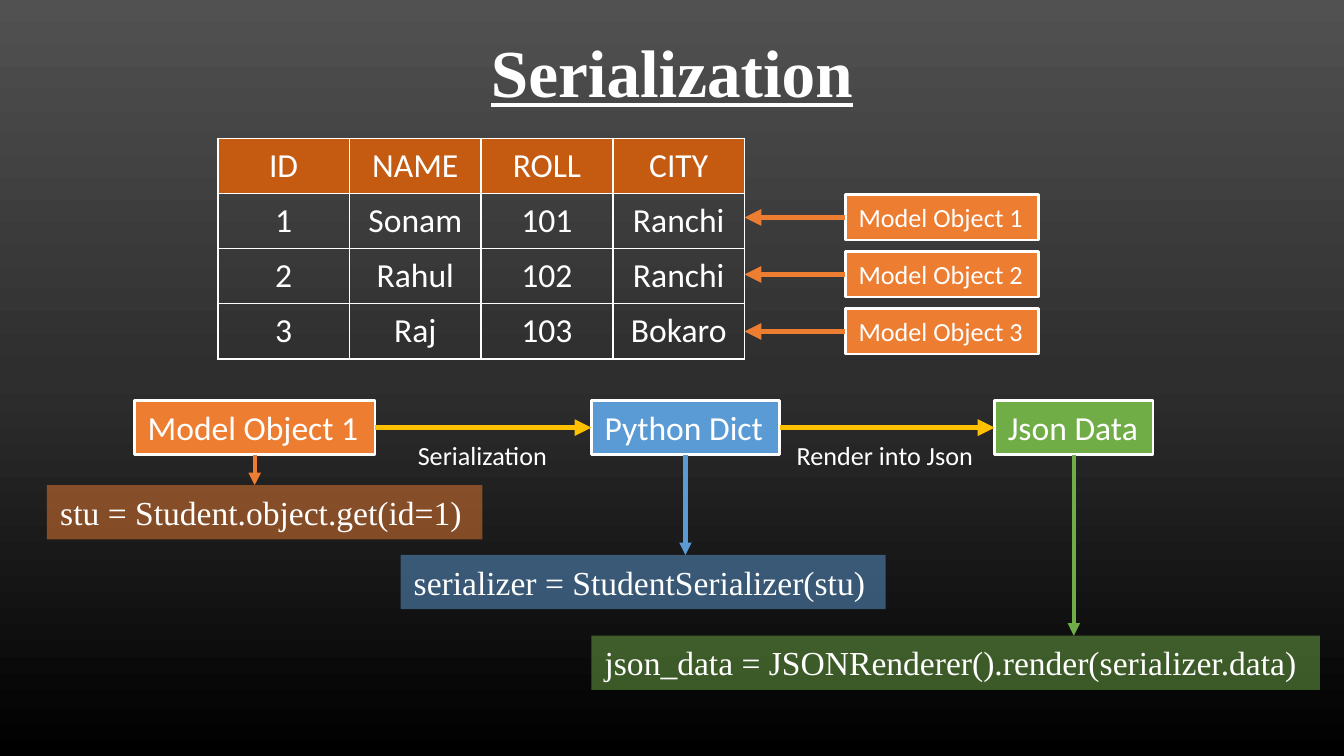
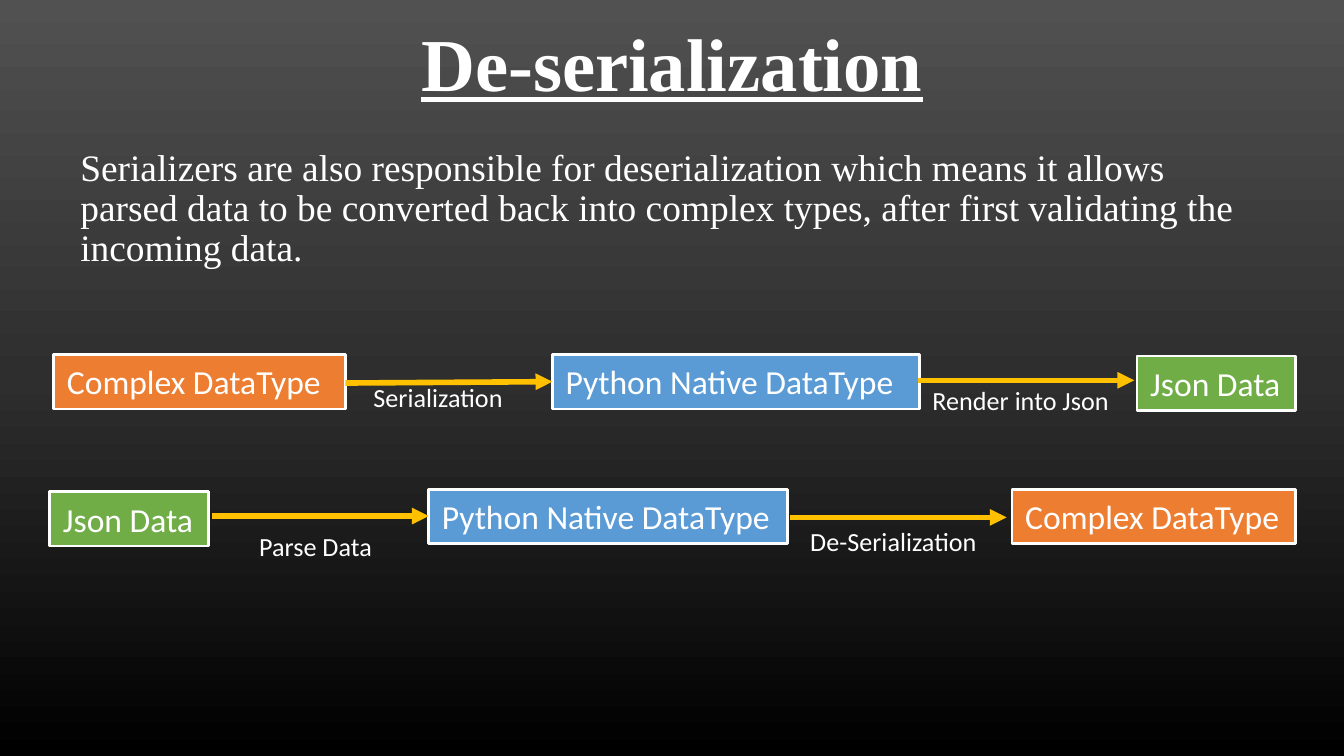
from dataclasses import dataclass
from lxml.etree import SubElement
from pptx import Presentation
from pptx.dml.color import RGBColor
from pptx.enum.shapes import MSO_CONNECTOR, MSO_SHAPE
from pptx.enum.text import MSO_ANCHOR, MSO_AUTO_SIZE, PP_ALIGN
from pptx.oxml.ns import qn
from pptx.util import Inches, Pt


@dataclass(frozen=True)
class Theme:
    white: str = "FFFFFF"
    model: str = "ED7D31"
    python: str = "5B9BD5"
    json: str = "70AD47"
    flow: str = "FFC000"
    header: str = "C55A11"
    backdrop: tuple = ((0, "515151"), (50, "2E2E2E"), (100, "000000"))
    sans: str = "Calibri"
    serif: str = "Times New Roman"
    label: int = 14
    box: int = 18
    body: int = 20
    thick: float = 3
    thin: float = 2.25


THEME = Theme()
TOP, LEFT, BOTTOM, RIGHT = range(4)
GRID_COLUMNS, GRID_ROWS = 100, 56.25
BOX_ROWS, LABEL_ROWS = 4.04, 3.37


class Deck:
    def __init__(self):
        self.presentation = Presentation()
        self.presentation.slide_width = Inches(10)
        self.presentation.slide_height = Inches(5.625)
        self.slide = None

    def x(self, columns):
        return round(self.presentation.slide_width * columns / GRID_COLUMNS)

    def y(self, rows):
        return round(self.presentation.slide_height * rows / GRID_ROWS)

    def area(self, left, top, width, height):
        return self.x(left), self.y(top), self.x(width), self.y(height)

    def new_slide(self):
        self.slide = self.presentation.slides.add_slide(self.presentation.slide_layouts[6])
        fill = self.slide.background.fill
        fill.gradient()
        fill.gradient_angle = 270
        stops = self.slide.element.xpath(".//a:gsLst")[0]
        for stop in list(stops):
            stops.remove(stop)
        for position, color in THEME.backdrop:
            stop = SubElement(stops, qn("a:gs"), pos=str(position * 1000))
            SubElement(stop, qn("a:srgbClr"), val=color)

    def put_text(self, frame, text, size, font=THEME.sans, align=PP_ALIGN.LEFT, bold=False):
        frame.text = text
        paragraph = frame.paragraphs[0]
        paragraph.alignment = align
        style = paragraph.runs[0].font
        style.size, style.name, style.bold = Pt(size), font, bold
        style.color.rgb = RGBColor.from_string(THEME.white)
        return paragraph

    def fit(self, frame, wrap):
        frame.word_wrap = wrap
        frame.auto_size = MSO_AUTO_SIZE.SHAPE_TO_FIT_TEXT
        frame.vertical_anchor = MSO_ANCHOR.TOP

    def title(self, text, size, left, top, width, height):
        frame = self.slide.shapes.add_textbox(*self.area(left, top, width, height)).text_frame
        frame.word_wrap = True
        frame.vertical_anchor = MSO_ANCHOR.MIDDLE
        heading = self.put_text(frame, text, size, THEME.serif, PP_ALIGN.CENTER, True)
        heading.line_spacing = 0.9
        heading.runs[0].font.underline = True

    def body(self, text, left, top, width, height):
        frame = self.slide.shapes.add_textbox(*self.area(left, top, width, height)).text_frame
        frame.word_wrap = True
        paragraph = self.put_text(frame, text, THEME.body, THEME.serif)
        paragraph.line_spacing = 0.9
        paragraph.space_before = Pt(7.5)

    def label(self, text, left, top, width):
        frame = self.slide.shapes.add_textbox(*self.area(left, top, width, LABEL_ROWS)).text_frame
        self.put_text(frame, text, THEME.label)
        self.fit(frame, False)

    def panel(self, color, left, top, width, height):
        shape = self.slide.shapes.add_shape(
            MSO_SHAPE.RECTANGLE, *self.area(left, top, width, height))
        shape.shadow.inherit = False
        shape.fill.solid()
        shape.fill.fore_color.rgb = RGBColor.from_string(color)
        return shape

    def box(self, text, color, left, top, width, height=BOX_ROWS, size=THEME.box):
        shape = self.panel(color, left, top, width, height)
        shape.line.color.rgb = RGBColor.from_string(THEME.white)
        shape.line.width = Pt(1.5)
        self.put_text(shape.text_frame, text, size)
        self.fit(shape.text_frame, False)
        return shape

    def code(self, text, color, left, top, width):
        shape = self.panel(color, left, top, width, BOX_ROWS)
        shape.line.fill.background()
        tint = shape.element.spPr.find(qn("a:solidFill"))[0]
        SubElement(tint, qn("a:alpha"), val="50000")
        self.put_text(shape.text_frame, text, THEME.box, THEME.serif)
        self.fit(shape.text_frame, True)
        return shape

    def arrow(self, start, end, color=THEME.flow, weight=THEME.thick):
        connector = self.slide.shapes.add_connector(MSO_CONNECTOR.STRAIGHT, *start, *end)
        connector.line.color.rgb = RGBColor.from_string(color)
        connector.line.width = Pt(weight)
        properties = connector.element.spPr
        SubElement(properties.find(qn("a:ln")), qn("a:tailEnd"), type="triangle")
        SubElement(properties, qn("a:effectLst"))
        return connector

    def flow(self, left, right, row, end_row=None):
        self.arrow((self.x(left), self.y(row)), (self.x(right), self.y(end_row or row)))

    def link(self, source, target):
        middle = source.top + source.height // 2
        connector = self.arrow((source.left + source.width, middle), (target.left, middle))
        connector.begin_connect(source, RIGHT)
        connector.end_connect(target, LEFT)

    def point_left(self, source, column, color):
        middle = source.top + source.height // 2
        connector = self.arrow((source.left, middle), (self.x(column), middle), color)
        connector.begin_connect(source, LEFT)

    def drop(self, source, target, color):
        center = source.left + source.width // 2
        connector = self.arrow((center, source.top + source.height),
                               (center, target.top), color, THEME.thin)
        connector.begin_connect(source, BOTTOM)

    def table(self, records, left, top, width, height):
        frame = self.slide.shapes.add_table(
            len(records), len(records[0]), *self.area(left, top, width, height))
        frame.table.horz_banding = False
        for row, record in enumerate(records):
            for column, value in enumerate(record):
                cell = frame.table.cell(row, column)
                self.put_text(cell.text_frame, value, THEME.box, align=PP_ALIGN.CENTER)
                if row:
                    cell.fill.background()
                else:
                    cell.fill.solid()
                    cell.fill.fore_color.rgb = RGBColor.from_string(THEME.header)
        for properties in frame.element.iter(qn("a:tcPr")):
            self.borders(properties)

    def borders(self, properties):
        for position, side in enumerate(("lnL", "lnR", "lnT", "lnB")):
            edge = SubElement(properties, qn("a:" + side), w=str(Pt(1)))
            SubElement(SubElement(edge, qn("a:solidFill")), qn("a:srgbClr"), val=THEME.white)
            properties.insert(position, edge)


STUDENTS = (
    ("ID", "NAME", "ROLL", "CITY"),
    ("1", "Sonam", "101", "Ranchi"),
    ("2", "Rahul", "102", "Ranchi"),
    ("3", "Raj", "103", "Bokaro"),
)


def serialization(deck):
    deck.new_slide()
    deck.title("Serialization", 36, 6.9, 0.2, 86.2, 10.9)
    deck.table(STUDENTS, 16.2, 10.3, 39.2, 16.4)
    for index in range(len(STUDENTS) - 1):
        instance = deck.box(f"Model Object {index + 1}", THEME.model, 62.9,
                            14.5 + 4.24 * index, 14.4, LABEL_ROWS, THEME.label)
        deck.point_left(instance, 55.4, THEME.model)

    stages = (
        ("Model Object 1", THEME.model, 10, 17.9,
         "stu = Student.object.get(id=1)", 3.5, 36.1, 32.4),
        ("Python Dict", THEME.python, 44, 14,
         "serializer = StudentSerializer(stu)", 29.8, 41.3, 36.1),
        ("Json Data", THEME.json, 74, 11.8,
         "json_data = JSONRenderer().render(serializer.data)", 44, 47.3, 54.2),
    )
    previous = None
    for name, color, left, width, statement, code_left, code_top, code_width in stages:
        stage = deck.box(name, color, left, 29.8, width)
        snippet = deck.code(statement, color, code_left, code_top, code_width)
        deck.drop(stage, snippet, color)
        if previous:
            deck.link(previous, stage)
        previous = stage
    deck.label("Serialization", 30.1, 32.2, 11.8)
    deck.label("Render into Json", 58.3, 32.2, 15.3)


def deserialization(deck):
    deck.new_slide()
    deck.title("De-serialization", 40, 5, 0.3, 90, 9.4)
    deck.body("Serializers are also responsible for deserialization which means it allows "
              "parsed data to be converted back into complex types, after first validating "
              "the incoming data.", 5, 10.6, 90, 40.8)

    for name, color, left, top, width in (
        ("Complex DataType", THEME.model, 4, 26.4, 21.7),
        ("Python Native DataType", THEME.python, 41.1, 26.4, 27.3),
        ("Json Data", THEME.json, 84.6, 26.5, 11.8),
        ("Json Data", THEME.json, 3.7, 36.6, 11.8),
        ("Python Native DataType", THEME.python, 31.9, 36.4, 26.7),
        ("Complex DataType", THEME.model, 75.3, 36.4, 21.1),
    ):
        deck.box(name, color, left, top, width)

    deck.flow(25.7, 41.1, 28.5, 28.4)
    deck.flow(68.3, 84.4, 28.3)
    deck.flow(15.8, 31.9, 38.4)
    deck.flow(58.8, 74.9, 38.5)

    for step, left, top, width in (
        ("Serialization", 26.8, 27.9, 11.8),
        ("Render into Json", 68.4, 28.1, 15.3),
        ("Parse Data", 18.3, 39, 10.5),
        ("De-Serialization", 59.3, 38.6, 14.5),
    ):
        deck.label(step, left, top, width)


deck = Deck()
serialization(deck)
deserialization(deck)
deck.presentation.save("out.pptx")
